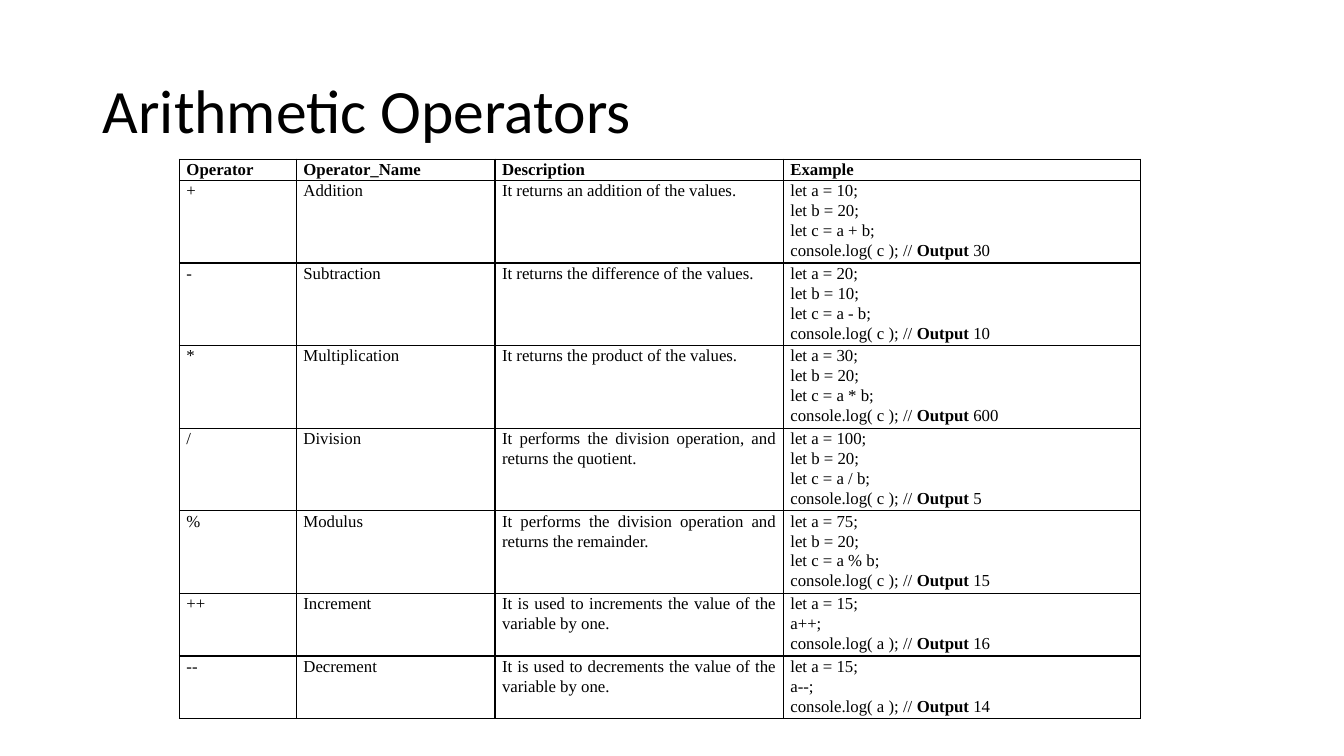
from lxml import etree
from pptx import Presentation
from pptx import util as u
from pptx.dml.color import RGBColor
from pptx.enum import text
from pptx.oxml import ns

BLACK = RGBColor(0x00, 0x00, 0x00)
WHITE = RGBColor(0xFF, 0xFF, 0xFF)

HEADINGS = ["Operator", "Operator_Name", "Description", "Example"]
# Symbol, name, description, code lines, logged variable, output
OPERATORS = [
    ("+", "Addition", "It returns an addition of the values.",
     ["let a = 10;", "let b = 20;", "let c = a + b;"], "c", "30"),
    ("-", "Subtraction", "It returns the difference of the values.",
     ["let a = 20;", "let b = 10;", "let c = a - b;"], "c", "10"),
    ("*", "Multiplication", "It returns the product of the values.",
     ["let a = 30;", "let b = 20;", "let c = a * b;"], "c", "600"),
    ("/", "Division", "It performs the division operation, and returns the quotient.",
     ["let a = 100;", "let b = 20;", "let c = a / b;"], "c", "5"),
    ("%", "Modulus", "It performs the division operation and returns the remainder.",
     ["let a = 75;", "let b = 20;", "let c = a % b;"], "c", "15"),
    ("++", "Increment", "It is used to increments the value of the variable by one.",
     ["let a = 15;", "a++;"], "a", "16"),
    ("--", "Decrement", "It is used to decrements the value of the variable by one.",
     ["let a = 15;", "a--;"], "a", "14"),
]
COLUMN_WIDTHS = [1.16, 1.97, 2.86, 3.54]
HEADING_HEIGHT = 0.21
LINE_HEIGHT = 0.2


def add_run(paragraph, words, font_name, size, bold=False):
    run = paragraph.add_run()
    run.text = words
    run.font.name = font_name
    run.font.size = u.Pt(size)
    run.font.bold = bold
    run.font.color.rgb = BLACK


def fill_cell(cell, lines):
    """Write lines, each a list of (words, bold) runs, into a bordered cell."""
    cell.margin_left = cell.margin_right = u.Inches(0.07)
    cell.margin_top = cell.margin_bottom = 0
    for number, runs in enumerate(lines):
        frame = cell.text_frame
        paragraph = frame.add_paragraph() if number else frame.paragraphs[0]
        paragraph.alignment = text.PP_ALIGN.JUSTIFY
        paragraph.line_spacing = 1.07
        for words, bold in runs:
            add_run(paragraph, words, "Times New Roman", 12, bold)
    properties = cell._tc.get_or_add_tcPr()
    for side in ("a:lnL", "a:lnR", "a:lnT", "a:lnB"):
        border = etree.SubElement(properties, ns.qn(side), w=str(u.Pt(1)))
        solid = etree.SubElement(border, ns.qn("a:solidFill"))
        etree.SubElement(solid, ns.qn("a:srgbClr"), val=str(BLACK))
    cell.fill.background()


deck = Presentation()
deck.slide_width, deck.slide_height = u.Inches(13.33), u.Inches(7.5)
slide = deck.slides.add_slide(deck.slide_layouts[5])
slide.background.fill.solid()
slide.background.fill.fore_color.rgb = WHITE

# Title
title = slide.shapes.title
title.left, title.top = u.Inches(0.92), u.Inches(0.4)
title.width, title.height = u.Inches(11.5), u.Inches(1.45)
title.text_frame.vertical_anchor = text.MSO_ANCHOR.MIDDLE
heading = title.text_frame.paragraphs[0]
heading.alignment = text.PP_ALIGN.LEFT
heading.line_spacing = 0.9
add_run(heading, "Arithmetic Operators", "Calibri", 44)

# Operator table
operators = slide.shapes.add_table(
    len(OPERATORS) + 1, len(HEADINGS), u.Inches(1.78), u.Inches(1.58),
    u.Inches(sum(COLUMN_WIDTHS)), u.Inches(5.55)).table
operators.horz_banding = False
operators.first_row = False
for column, width in zip(operators.columns, COLUMN_WIDTHS):
    column.width = u.Inches(width)

# Heading row
operators.rows[0].height = u.Inches(HEADING_HEIGHT)
for column, words in enumerate(HEADINGS):
    fill_cell(operators.cell(0, column), [[(words, True)]])

# One row per operator, as tall as its example
for row, (symbol, name, description, code, variable, output) in enumerate(OPERATORS, 1):
    example = [[(line, False)] for line in code]
    example.append([(f"console.log( {variable} ); // ", False),
                    ("Output ", True), (output, False)])
    operators.rows[row].height = u.Inches(LINE_HEIGHT * len(example) + 0.02)
    for column, words in enumerate((symbol, name, description)):
        fill_cell(operators.cell(row, column), [[(words, False)]])
    fill_cell(operators.cell(row, 3), example)

deck.save("out.pptx")
